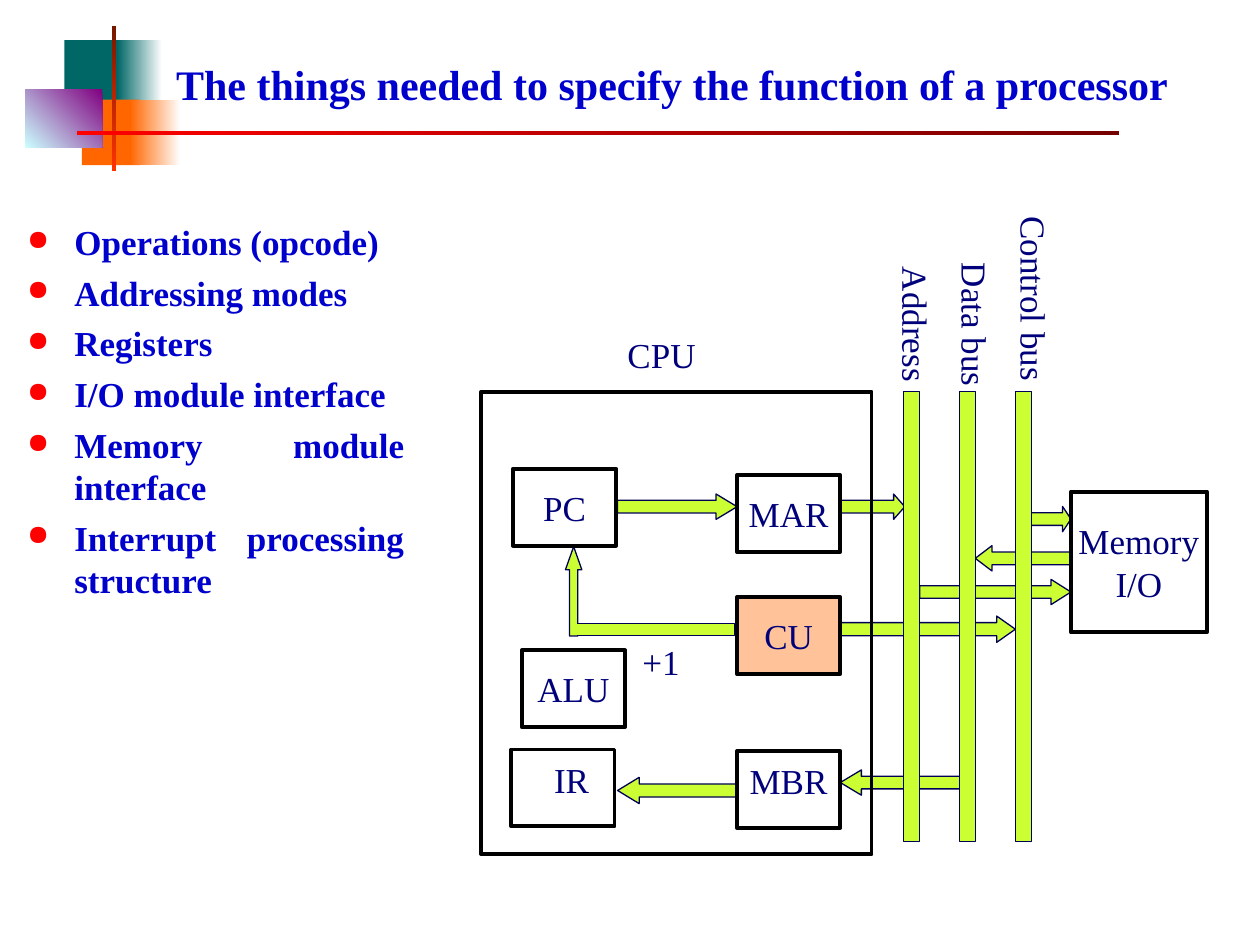
from dataclasses import dataclass

from lxml import etree
from pptx import Presentation
from pptx import util as u
from pptx.dml.color import RGBColor
from pptx.enum import shapes, text
from pptx.oxml import ns


@dataclass(frozen=True)
class Theme:
    font: str = "Times New Roman"
    title_size: int = 24
    body_size: int = 20
    heading: str = "0000CC"
    label: str = "00007A"
    bullet: str = "FF0000"
    outline: str = "000000"
    bus: str = "CCFF33"
    bus_line: str = "000054"
    control_unit: str = "FFC299"
    teal: str = "006666"
    orange: str = "FF6600"
    white: str = "FFFFFF"
    purple_fade: tuple = ("800080", "CCFFFF")
    vertical_rule: tuple = ("761800", "FF3300")
    horizontal_rule: tuple = ("FF0000", "760000")


THEME = Theme()
RECTANGLE = shapes.MSO_SHAPE.RECTANGLE
BOX_WIDTH, BOX_HEIGHT = 2.08, 1.55
DIAGRAM_TOP = 7.9


def add_block(slide, place, fill=None, line=None, weight=0.75, kind=RECTANGLE, rotation=0):
    shape = slide.shapes.add_shape(kind, *map(u.Cm, place))
    shape.shadow.inherit = False
    shape.rotation = rotation
    if fill:
        shape.fill.solid()
        shape.fill.fore_color.rgb = RGBColor.from_string(fill)
    else:
        shape.fill.background()
    if line:
        shape.line.color.rgb = RGBColor.from_string(line)
        shape.line.width = u.Pt(weight)
    else:
        shape.line.fill.background()
    return shape


def add_gradient(slide, place, colors, angle):
    shape = add_block(slide, place)
    shape.fill.gradient()
    shape.fill.gradient_angle = angle
    for stop, color in zip(shape.fill.gradient_stops, colors):
        stop.color.rgb = RGBColor.from_string(color)


def add_arrow(slide, place, head, kind=shapes.MSO_SHAPE.RIGHT_ARROW, rotation=0):
    arrow = add_block(slide, place, THEME.bus, THEME.bus_line, kind=kind, rotation=rotation)
    arrow.adjustments[0] = 0.5
    arrow.adjustments[1] = head


def style_font(paragraph, size, color, bold=False):
    font = paragraph.font
    font.name = THEME.font
    font.size = u.Pt(size)
    font.bold = bold
    font.color.rgb = RGBColor.from_string(color)


def write_lines(frame, lines, alignment):
    for index, line in enumerate(lines):
        paragraph = frame.add_paragraph() if index else frame.paragraphs[0]
        paragraph.text = line
        paragraph.alignment = alignment
        style_font(paragraph, THEME.body_size, THEME.label)


def add_box(slide, place, lines=(), fill=None):
    box = add_block(slide, place, fill, THEME.outline, 2.25)
    frame = box.text_frame
    frame.word_wrap = False
    frame.vertical_anchor = text.MSO_ANCHOR.MIDDLE
    write_lines(frame, lines, text.PP_ALIGN.CENTER)


def add_label(slide, place, content, vertical=False, wrap=False):
    label = slide.shapes.add_textbox(*map(u.Cm, place))
    frame = label.text_frame
    frame.word_wrap = wrap
    frame.auto_size = text.MSO_AUTO_SIZE.SHAPE_TO_FIT_TEXT
    if vertical:
        label.element.txBody.bodyPr.set("vert", "eaVert")
        frame.margin_left = frame.margin_right = u.Cm(0.13)
        frame.margin_top = frame.margin_bottom = u.Cm(0.25)
    write_lines(frame, [content], text.PP_ALIGN.LEFT)


def add_bullet(paragraph):
    properties = paragraph._p.get_or_add_pPr()
    properties.set("marL", str(u.Cm(0.95)))
    properties.set("indent", str(u.Cm(-0.95)))
    color = etree.SubElement(properties, ns.qn("a:buClr"))
    etree.SubElement(color, ns.qn("a:srgbClr"), val=THEME.bullet)
    etree.SubElement(properties, ns.qn("a:buSzPct"), val="80000")
    etree.SubElement(properties, ns.qn("a:buChar"), char="●")


def add_title(slide, content):
    frame = slide.shapes.add_textbox(u.Cm(3.3), u.Cm(0.53), u.Cm(21.44), u.Cm(1.8)).text_frame
    frame.word_wrap = True
    frame.vertical_anchor = text.MSO_ANCHOR.BOTTOM
    frame.text = content
    style_font(frame.paragraphs[0], THEME.title_size, THEME.heading, bold=True)


def add_list(slide, items):
    frame = slide.shapes.add_textbox(u.Cm(0.3), u.Cm(4.32), u.Cm(8.1), u.Cm(12.57)).text_frame
    frame.word_wrap = True
    for index, item in enumerate(items):
        paragraph = frame.add_paragraph() if index else frame.paragraphs[0]
        paragraph.text = item
        paragraph.alignment = text.PP_ALIGN.JUSTIFY
        if index:
            paragraph.space_before = u.Pt(5)
        add_bullet(paragraph)
        style_font(paragraph, THEME.body_size, THEME.heading, bold=True)


def add_ornament(slide):
    add_block(slide, (1.3, 0.81, 1.22, 1.32), THEME.teal)
    add_gradient(slide, (2.36, 0.81, 0.91, 1.32), (THEME.white, THEME.teal), 180)
    add_block(slide, (1.65, 2.01, 1.17, 1.32), THEME.orange)
    add_gradient(slide, (2.62, 2.01, 1.02, 1.32), (THEME.white, THEME.orange), 180)
    add_gradient(slide, (0.51, 1.8, 1.55, 1.17), THEME.purple_fade, 225)
    add_gradient(slide, (2.26, 0.53, 0.08, 2.92), THEME.vertical_rule, 270)
    add_gradient(slide, (1.55, 2.64, 21.01, 0.08), THEME.horizontal_rule, 0)


def add_arrows(slide):
    arrows = [
        (12.45, 15.67, 2.41, 0.53, 0.82, 180),
        (12.45, 9.96, 2.41, 0.51, 0.83, 0),
        (16.94, 9.96, 1.3, 0.51, 0.44, 0),
        (16.94, 15.52, 2.41, 0.51, 0.83, 180),
        (16.94, 12.42, 3.53, 0.53, 0.71, 0),
        (18.54, 11.68, 3.05, 0.51, 0.79, 0),
        (19.66, 11, 1.93, 0.51, 0.66, 180),
        (20.62, 10.21, 0.97, 0.51, 0.33, 0),
    ]
    for *place, head, rotation in arrows:
        add_arrow(slide, place, head, rotation=rotation)


def add_registers(slide):
    boxes = [
        (14.86, 15.14, [], None),
        (14.86, 12.04, ["CU"], THEME.control_unit),
        (14.86, 9.58, ["MAR"], None),
        (10.34, 9.45, ["PC"], None),
        (10.31, 15.11, [], None),
        (10.52, 13.11, ["ALU"], None),
    ]
    for left, top, lines, fill in boxes:
        add_box(slide, (left, top, BOX_WIDTH, BOX_HEIGHT), lines, fill)
    add_label(slide, (14.86, 15.19, 2.08, 1.12), "MBR")
    add_label(slide, (10.92, 15.16, 1.22, 1.12), "IR")


def add_buses(slide):
    buses = [("Address", 5.13, 2.59), ("Data bus", 5.05, 2.74), ("Control bus", 4.11, 3.58)]
    for index, (name, top, height) in enumerate(buses):
        bar = (18.21 + 1.13 * index, DIAGRAM_TOP, 0.33, 9.07)
        add_block(slide, bar, THEME.bus, THEME.bus_line)
        add_label(slide, (17.68 + 1.19 * index, top, 1.35, height), name, vertical=True)


def add_increment(slide):
    add_block(slide, (11.58, 12.57, 3.23, 0.25), THEME.bus, THEME.bus_line)
    add_arrow(slide, (11.4, 11.02, 0.33, 1.8), 1.41, shapes.MSO_SHAPE.UP_ARROW)
    add_label(slide, (12.7, 12.78, 3.38, 1.12), "+1", wrap=True)
    add_block(slide, (11.58, 12.65, 0.18, 0.08), THEME.bus, THEME.bus, rotation=90)


def main():
    presentation = Presentation()
    presentation.slide_width = u.Cm(25.4)
    presentation.slide_height = u.Cm(19.05)
    slide = presentation.slides.add_slide(presentation.slide_layouts[6])
    add_ornament(slide)
    add_title(slide, "The things needed to specify the function of a processor")
    add_list(slide, [
        "Operations (opcode)", "Addressing modes", "Registers", "I/O module interface",
        "Memory module interface", "Interrupt processing structure",
    ])
    add_arrows(slide)
    add_box(slide, (9.7, DIAGRAM_TOP, 7.87, 9.32))
    add_label(slide, (12.4, 6.6, 1.88, 1.12), "CPU")
    add_buses(slide)
    add_box(slide, (21.59, 9.91, 2.74, 2.84), ["Memory", "I/O"])
    add_increment(slide)
    add_registers(slide)
    presentation.save("out.pptx")


if __name__ == "__main__":
    main()
